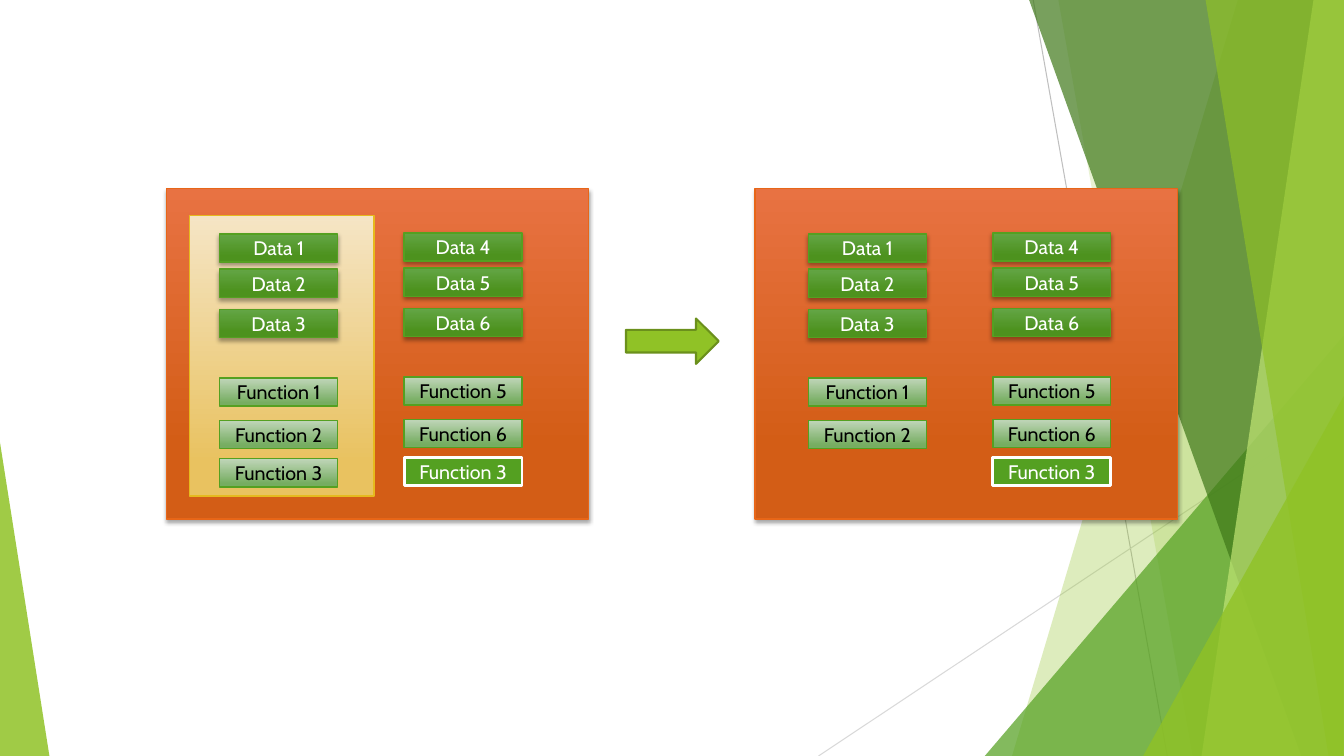
from lxml import etree
from pptx import Presentation
from pptx import util as u
from pptx.dml.color import RGBColor
from pptx.enum import shapes, text
from pptx.oxml import ns

# The slide is a grid of square cells, a tenth of an inch each
CELL = u.Inches(0.1)
COLS, ROWS = 133.33, 75

COLORS = {
    "lime": "90C226", "pale_lime": "C0E474", "green": "54A021", "forest": "3F7819",
    "olive": "6B901C", "ray": "BFBFBF", "faint_ray": "D9D9D9",
    "panel_top": "E87242", "panel_end": "D35D16", "panel_edge": "E76618",
    "base_top": "F5E5C5", "base_end": "E9C260", "base_edge": "E6B91E",
    "data_top": "63A545", "data_end": "4D921E",
    "function_top": "C0D6B9", "function_end": "76AD61",
    "white": "FFFFFF", "black": "000000",
}

# Looks of the boxes: fill is a colour, or (top, end, end position)
PANEL = dict(fill=("panel_top", "panel_end", 0.78), line="panel_edge", shadow=True)
BASE = dict(fill=("base_top", "base_end", 0.88), line="base_edge")
DATA = dict(fill=("data_top", "data_end", 0.78), line="green", shadow=True)
FUNCTION = dict(fill=("function_top", "function_end", 0.88), line="green")
OVERRIDE = dict(fill="green", line="white", weight=2)

# Places inside a panel, in cells
PANEL_TOP, PANEL_WIDTH, PANEL_HEIGHT = 18.7, 41.9, 32.8
BOX_WIDTH, BOX_HEIGHT = 11.7, 2.8
BOX_ROWS = [4.5, 8, 12, 18.8, 23, 26.8]
BASE_COLUMN, DERIVED_COLUMN = 5.3, 23.6

INHERITED = [("Data 1", DATA), ("Data 2", DATA), ("Data 3", DATA),
             ("Function 1", FUNCTION), ("Function 2", FUNCTION), ("Function 3", FUNCTION)]
OWN = [("Data 4", DATA), ("Data 5", DATA), ("Data 6", DATA),
       ("Function 5", FUNCTION), ("Function 6", FUNCTION), ("Function 3", OVERRIDE)]


def cells(*counts):
    return [round(count * CELL) for count in counts]


def rgb(name):
    return RGBColor.from_string(COLORS[name])


def paint(shape, fill, line=None, weight=1, alpha=None, shadow=False):
    shape.shadow.inherit = False
    if isinstance(fill, tuple):
        top, end, position = fill
        shape.fill.gradient()
        shape.fill.gradient_angle = 270
        for stop, place, name in zip(shape.fill.gradient_stops, (0, position), (top, end)):
            stop.position = place
            stop.color.rgb = rgb(name)
    else:
        shape.fill.solid()
        shape.fill.fore_color.rgb = rgb(fill)
    if line:
        shape.line.color.rgb = rgb(line)
        shape.line.width = u.Pt(weight)
    else:
        shape.line.fill.background()
    properties = shape._element.spPr
    if alpha:
        tint = properties.find(ns.qn("a:solidFill"))[0]
        etree.SubElement(tint, ns.qn("a:alpha"), val=str(alpha * 1000))
    if shadow:
        effects = properties.find(ns.qn("a:effectLst"))
        outer = etree.SubElement(effects, ns.qn("a:outerShdw"), blurRad=str(u.Pt(3)),
                                 dist=str(u.Pt(2)), dir="5400000", rotWithShape="0")
        shade = etree.SubElement(outer, ns.qn("a:srgbClr"), val=COLORS["black"])
        etree.SubElement(shade, ns.qn("a:alpha"), val="35000")


def write(shape, words, size=14, font="Cabin", color="white"):
    frame = shape.text_frame
    frame.word_wrap = True
    frame.vertical_anchor = text.MSO_ANCHOR.MIDDLE
    paragraph = frame.paragraphs[0]
    paragraph.alignment = text.PP_ALIGN.CENTER
    run = paragraph.add_run()
    run.text = words
    run.font.size = u.Pt(size)
    run.font.name = font
    run.font.color.rgb = rgb(color)


def add_block(slide, kind, place, **look):
    block = slide.shapes.add_shape(kind, *cells(*place))
    paint(block, **look)
    return block


def add_triangle(slide, place, apex, color, alpha):
    triangle = add_block(slide, shapes.MSO_SHAPE.ISOSCELES_TRIANGLE, place,
                         fill=color, alpha=alpha)
    triangle.adjustments[0] = apex


def add_ray(slide, start, end, color):
    ray = slide.shapes.add_connector(shapes.MSO_CONNECTOR.STRAIGHT,
                                     *cells(*start), *cells(*end))
    ray.line.color.rgb = rgb(color)
    ray.line.width = u.Pt(0.75)
    etree.SubElement(ray._element.spPr, ns.qn("a:effectLst"))


def add_facet(slide, top, bottom, color, alpha):
    """A shard from the slide's right edge to a slanted left side."""
    builder = slide.shapes.build_freeform(*cells(top, 0), scale=1.0)
    corners = [(COLS, 0), (COLS, ROWS), (bottom, ROWS)]
    builder.add_line_segments([cells(*corner) for corner in corners], close=True)
    paint(builder.convert_to_shape(), color, alpha=alpha)


def add_backdrop(slide):
    add_ray(slide, (102.5, 0), (115.8, ROWS), "ray")
    add_ray(slide, (COLS, 40.3), (81.2, ROWS), "faint_ray")
    add_facet(slide, 122.8, 100.4, "lime", 30)
    add_facet(slide, 105, 118.3, "lime", 20)
    add_triangle(slide, (97.7, 33.3, 35.6, 41.7), 1, "green", 72)
    add_facet(slide, 102.1, 129.1, "forest", 70)
    add_facet(slide, 130.3, 119.2, "pale_lime", 70)
    add_facet(slide, 119.6, 131.8, "lime", 65)
    add_triangle(slide, (113.4, 39.3, 19.9, 35.7), 1, "lime", 80)
    add_triangle(slide, (0, 43.9, 4.9, 31.1), 0, "lime", 85)


def add_members(slide, left, top, members):
    for row, (words, look) in zip(BOX_ROWS, members):
        box = add_block(slide, shapes.MSO_SHAPE.RECTANGLE,
                        (left, top + row, BOX_WIDTH, BOX_HEIGHT), **look)
        write(box, words, color="black" if look is FUNCTION else "white")


def add_class(slide, left, inherited, show_base=False):
    rectangle = shapes.MSO_SHAPE.RECTANGLE
    add_block(slide, rectangle, (left, PANEL_TOP, PANEL_WIDTH, PANEL_HEIGHT), **PANEL)
    if show_base:
        add_block(slide, rectangle, (left + 2.3, PANEL_TOP + 2.7, 18.3, 27.8), **BASE)
    add_members(slide, left + BASE_COLUMN, PANEL_TOP, inherited)
    add_members(slide, left + DERIVED_COLUMN, PANEL_TOP - 0.1, OWN)


def main():
    deck = Presentation()
    deck.slide_width, deck.slide_height = cells(COLS, ROWS)
    slide = deck.slides.add_slide(deck.slide_layouts[6])

    add_backdrop(slide)
    # Derived class with its base part, then the merged result
    add_class(slide, 16.5, INHERITED, show_base=True)
    add_block(slide, shapes.MSO_SHAPE.RIGHT_ARROW, (62.1, 31.6, 9.2, 4.5),
              fill="lime", line="olive", weight=1.5)
    add_class(slide, 74.9, INHERITED[:-1])

    deck.save("out.pptx")


if __name__ == "__main__":
    main()
